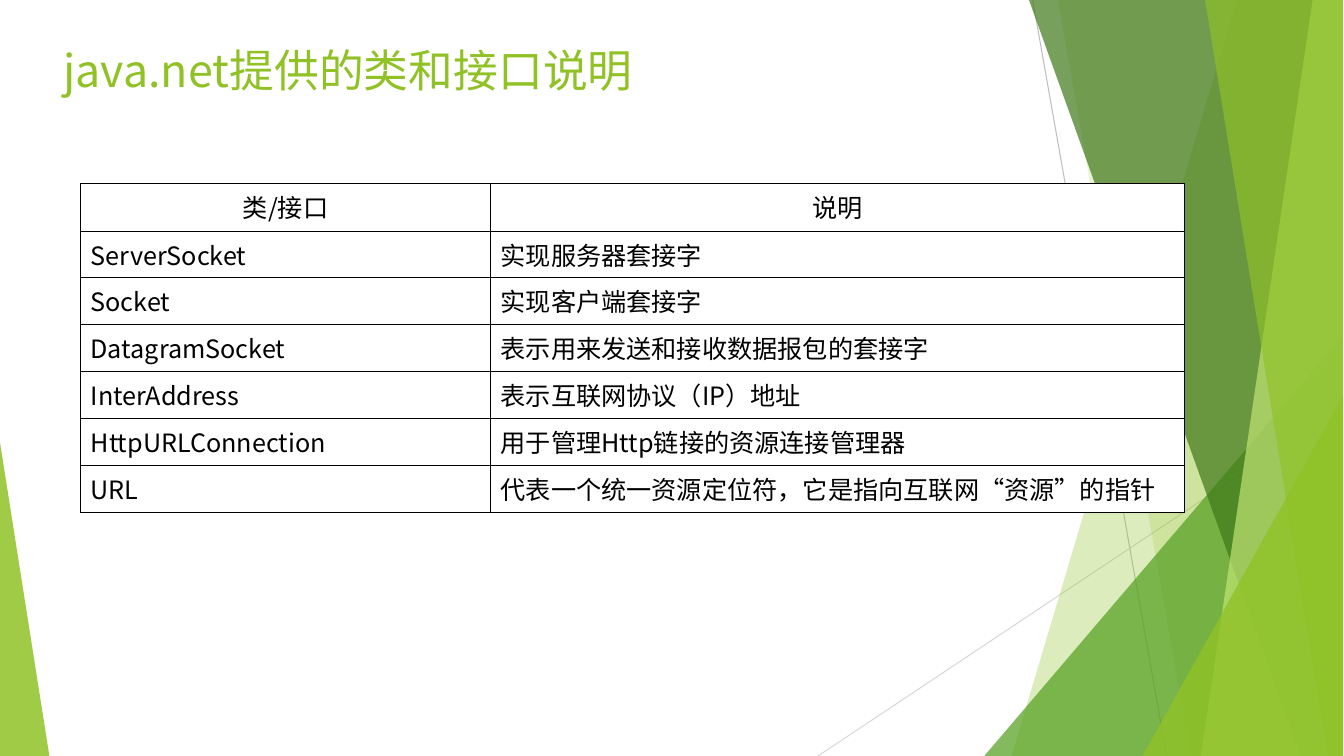
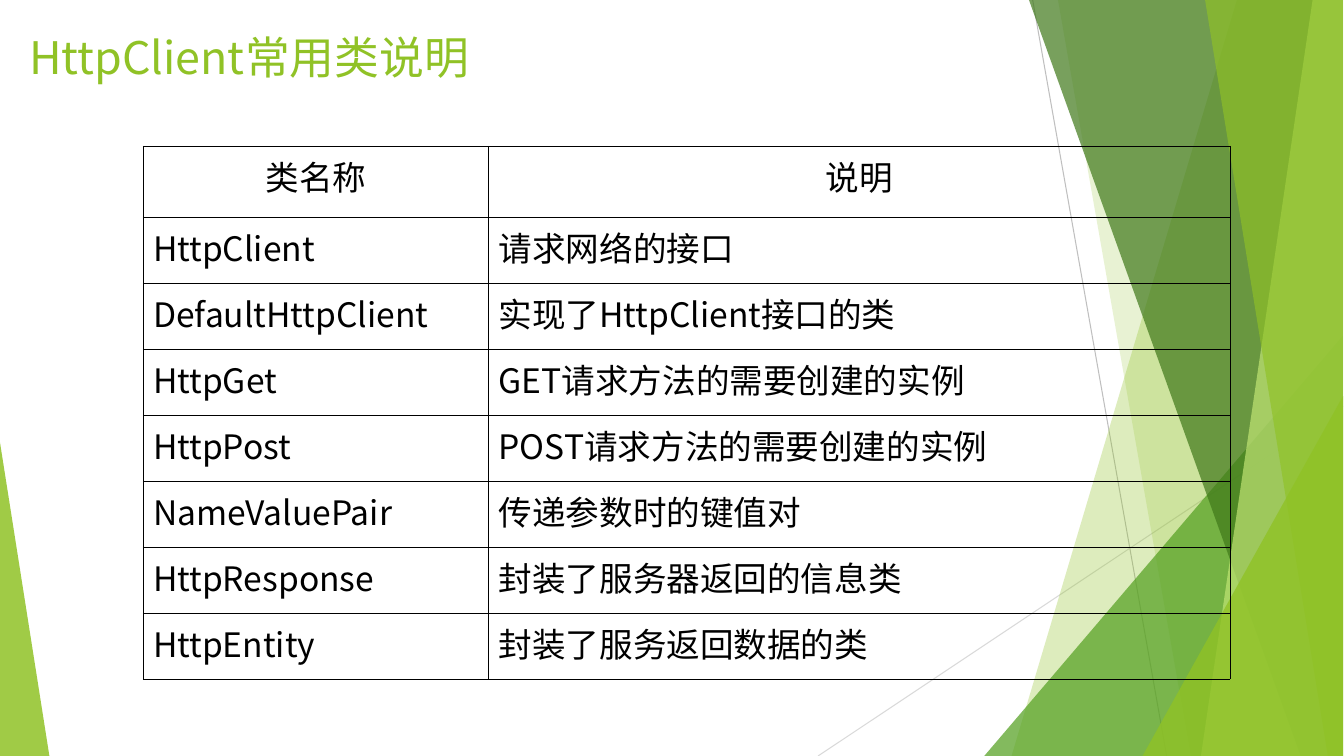
"""Two slides of class reference tables on a faceted green backdrop."""
import lxml.etree
import pptx
import pptx.dml.color
import pptx.enum.shapes
import pptx.enum.text
import pptx.oxml.ns
import pptx.util

Inches = pptx.util.Inches
RGBColor = pptx.dml.color.RGBColor
qn = pptx.oxml.ns.qn

FONT = "Noto Sans CJK JP"
GREEN = RGBColor(0x90, 0xC2, 0x26)
MID_GREEN = RGBColor(0x54, 0xA0, 0x21)
DARK_GREEN = RGBColor(0x3F, 0x78, 0x19)
PALE_GREEN = RGBColor(0xC0, 0xE4, 0x74)
GREY = RGBColor(0xBF, 0xBF, 0xBF)
LIGHT_GREY = RGBColor(0xD9, 0xD9, 0xD9)
BLACK = RGBColor(0, 0, 0)
WHITE = RGBColor(0xFF, 0xFF, 0xFF)

SLIDE_WIDTH, SLIDE_HEIGHT = 13.34, 7.5
FACETS_BOX = (8.12, 0, 5.21, SLIDE_HEIGHT)
WEDGE_BOX = (0, 4.39, 0.49, 3.11)
BLEED = 0.01

SOCKET_ROWS = [
    ("类/接口", "说明"),
    ("ServerSocket", "实现服务器套接字"),
    ("Socket", "实现客户端套接字"),
    ("DatagramSocket", "表示用来发送和接收数据报包的套接字"),
    ("InterAddress", "表示互联网协议（IP）地址"),
    ("HttpURLConnection", "用于管理Http链接的资源连接管理器"),
    ("URL", "代表一个统一资源定位符，它是指向互联网“资源”的指针"),
]
CLIENT_ROWS = [
    ("类名称", "说明"),
    ("HttpClient", "请求网络的接口"),
    ("DefaultHttpClient", "实现了HttpClient接口的类"),
    ("HttpGet", "GET请求方法的需要创建的实例"),
    ("HttpPost", "POST请求方法的需要创建的实例"),
    ("NameValuePair", "传递参数时的键值对"),
    ("HttpResponse", "封装了服务器返回的信息类"),
    ("HttpEntity", "封装了服务返回数据的类"),
]


def style_paragraph(paragraph, size, color):
    """Set the shared typeface, for Latin and East Asian text, with size and colour."""
    paragraph.font.size = pptx.util.Pt(size)
    paragraph.font.color.rgb = color
    paragraph.font.name = FONT
    properties = paragraph._p.get_or_add_pPr().find(qn("a:defRPr"))
    lxml.etree.SubElement(properties, qn("a:ea"), typeface=FONT)


def paint(shape, color, opacity):
    """Give a shape a translucent fill, no outline and no shadow."""
    shape.shadow.inherit = False
    shape.line.fill.background()
    shape.fill.solid()
    shape.fill.fore_color.rgb = color
    color_element = shape._element.spPr.find(qn("a:solidFill")).find(qn("a:srgbClr"))
    lxml.etree.SubElement(color_element, qn("a:alpha"), val=str(opacity * 1000))


def add_triangle(slide, box, apex, color, opacity):
    """Fill a box with a triangle whose apex sits at a fraction of its width."""
    triangle = slide.shapes.add_shape(
        pptx.enum.shapes.MSO_SHAPE.ISOSCELES_TRIANGLE, *map(Inches, box))
    triangle.adjustments[0] = apex
    paint(triangle, color, opacity)


def add_hairline(slide, start, end, color):
    """Draw a thin straight line between two points."""
    line = slide.shapes.add_connector(
        pptx.enum.shapes.MSO_CONNECTOR.STRAIGHT, *map(Inches, start + end))
    line.line.color.rgb = color
    line.line.width = pptx.util.Pt(0.74)
    lxml.etree.SubElement(line._element.spPr, qn("a:effectLst"))


def add_facets(slide, box):
    """Layer the green facets against the right edge of the box."""
    left, top, width, height = box
    right, bottom = left + width, top + height

    def add_band(top_offset, bottom_offset, color, opacity):
        """Fill the area right of a slanted edge."""
        corners = [(right, top - BLEED), (right, bottom), (left + bottom_offset, bottom)]
        builder = slide.shapes.build_freeform(
            Inches(left + top_offset), Inches(top - BLEED))
        builder.add_line_segments([(Inches(x), Inches(y)) for x, y in corners])
        paint(builder.convert_to_shape(), color, opacity)

    def add_corner(corner_width, corner_height, color, opacity):
        """Fill the bottom right corner with a triangle."""
        corner = (right - corner_width, bottom - corner_height, corner_width, corner_height)
        add_triangle(slide, corner, 1, color, opacity)

    add_hairline(slide, (left + 2.13, top), (left + 3.46, bottom), GREY)
    add_hairline(slide, (right, top + 4.03), (left, bottom), LIGHT_GREY)
    add_band(4.16, 1.92, GREEN, 30)
    add_band(2.38, 3.7, GREEN, 20)
    add_corner(3.56, 4.17, MID_GREEN, 72)
    add_band(2.09, 4.79, DARK_GREEN, 70)
    add_band(4.91, 3.8, PALE_GREEN, 70)
    add_band(3.84, 5.06, GREEN, 65)
    add_corner(1.99, 3.57, GREEN, 80)


def add_title(slide, box, text):
    """Write the slide title at the top of the box."""
    frame = slide.shapes.add_textbox(*map(Inches, box)).text_frame
    frame.word_wrap = True
    frame.text = text
    style_paragraph(frame.paragraphs[0], 32, GREEN)


def add_borders(cell):
    """Draw thin black lines on all four sides of a cell."""
    properties = cell._tc.get_or_add_tcPr()
    for side in ("lnL", "lnR", "lnT", "lnB"):
        border = lxml.etree.SubElement(
            properties, qn(f"a:{side}"), w=str(pptx.util.Pt(0.45)))
        fill = lxml.etree.SubElement(border, qn("a:solidFill"))
        lxml.etree.SubElement(fill, qn("a:srgbClr"), val=str(BLACK))


def add_class_table(slide, box, rows, first_width, header_height, size, fill_color):
    """Fill the box with a two-column table under a centred header row."""
    width, height = box[2:]
    table = slide.shapes.add_table(len(rows), 2, *map(Inches, box)).table
    table.first_row = table.horz_banding = False
    table.columns[0].width = Inches(first_width)
    table.columns[1].width = Inches(width - first_width)
    body_height = (height - header_height) / (len(rows) - 1)
    for row_index, texts in enumerate(rows):
        is_header = row_index == 0
        table.rows[row_index].height = Inches(header_height if is_header else body_height)
        for column_index, text in enumerate(texts):
            cell = table.cell(row_index, column_index)
            cell.text = text
            add_borders(cell)
            if fill_color is None:
                cell.fill.background()
            else:
                cell.fill.solid()
                cell.fill.fore_color.rgb = fill_color
            paragraph = cell.text_frame.paragraphs[0]
            style_paragraph(paragraph, size, BLACK)
            if is_header:
                paragraph.alignment = pptx.enum.text.PP_ALIGN.CENTER


def add_table_slide(presentation, title, title_box, **table_options):
    """Add a slide with the shared backdrop, a title and a table."""
    slide = presentation.slides.add_slide(presentation.slide_layouts[6])
    add_facets(slide, FACETS_BOX)
    add_triangle(slide, WEDGE_BOX, 0, GREEN, 85)
    add_title(slide, title_box, title)
    add_class_table(slide, **table_options)


def main():
    """Build and save the presentation."""
    presentation = pptx.Presentation()
    presentation.slide_width = Inches(SLIDE_WIDTH)
    presentation.slide_height = Inches(SLIDE_HEIGHT)
    add_table_slide(
        presentation, "java.net提供的类和接口说明", (0.53, 0.37, 11.5, 1.04),
        box=(0.8, 1.82, 10.96, 3.26), rows=SOCKET_ROWS, first_width=4.07,
        header_height=0.47, size=18, fill_color=WHITE)
    add_table_slide(
        presentation, "HttpClient常用类说明", (0.19, 0.25, 11.5, 0.93),
        box=(1.42, 1.45, 10.79, 5.29), rows=CLIENT_ROWS, first_width=3.43,
        header_height=0.71, size=24, fill_color=None)
    presentation.save("out.pptx")


main()
